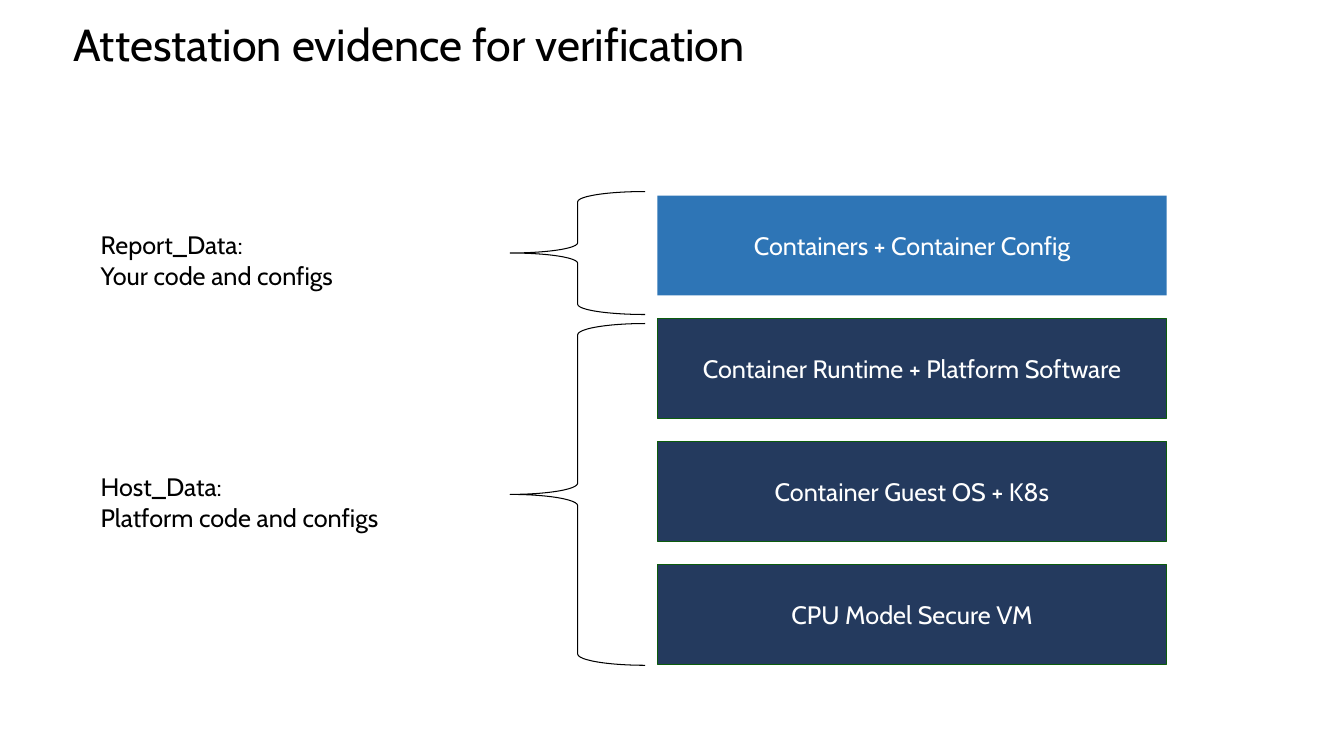
import pptx
import pptx.util
import pptx.dml.color
import pptx.enum.shapes
import pptx.enum.text

RGBColor = pptx.dml.color.RGBColor
BLACK = RGBColor(0x00, 0x00, 0x00)
WHITE = RGBColor(0xFF, 0xFF, 0xFF)
NAVY = RGBColor(0x24, 0x3A, 0x5E)
BLUE = RGBColor(0x2E, 0x75, 0xB6)
GREEN = RGBColor(0x0C, 0x5C, 0x0C)

KIND = pptx.enum.shapes.MSO_SHAPE
ALIGN = pptx.enum.text.PP_ALIGN
ANCHOR = pptx.enum.text.MSO_ANCHOR
FIT = pptx.enum.text.MSO_AUTO_SIZE
FONT = "Cabin"
SCALE = 9144

LAYERS = [
    ("Containers + Container Config", BLUE, None),
    ("Container Runtime + Platform Software", NAVY, GREEN),
    ("Container Guest OS + K8s", NAVY, GREEN),
    ("CPU Model Secure VM", NAVY, GREEN),
]
LAYER_TOP = 194
LAYER_STEP = 122


def px(count):
    return pptx.util.Emu(count * SCALE)


def write(frame, lines, size, color, align, anchor):
    frame.word_wrap = True
    frame.auto_size = FIT.NONE
    frame.vertical_anchor = anchor
    para = frame.paragraphs[0]
    para.alignment = align
    for index, line in enumerate(lines):
        if index:
            para.add_line_break()
        run = para.add_run()
        run.text = line
        run.font.name = FONT
        run.font.size = pptx.util.Pt(size)
        run.font.color.rgb = color


def add_title(slide, text):
    title = slide.shapes.title
    title.left, title.top = px(63), px(12)
    title.width, title.height = px(1258), px(64)
    write(title.text_frame, [text], 32, BLACK, ALIGN.LEFT, ANCHOR.TOP)


def add_layer(slide, top, text, fill, edge):
    box = slide.shapes.add_shape(KIND.RECTANGLE, px(652), px(top), px(505), px(99))
    box.shadow.inherit = False
    box.fill.solid()
    box.fill.fore_color.rgb = fill
    if edge is None:
        box.line.fill.background()
    else:
        box.line.color.rgb = edge
        box.line.width = pptx.util.Pt(0.85)
    write(box.text_frame, [text], 18, WHITE, ALIGN.CENTER, ANCHOR.MIDDLE)


def add_brace(slide, top, height):
    brace = slide.shapes.add_shape(KIND.LEFT_BRACE, px(506), px(top), px(134), px(height))
    brace.shadow.inherit = False
    brace.fill.background()
    brace.line.color.rgb = BLACK
    brace.line.width = pptx.util.Pt(0.75)


def add_label(slide, top, lines):
    box = slide.shapes.add_textbox(px(90), px(top), px(462), px(71))
    write(box.text_frame, lines, 18, BLACK, ALIGN.LEFT, ANCHOR.TOP)


def main():
    deck = pptx.Presentation()
    deck.slide_width, deck.slide_height = px(1333), px(750)
    slide = deck.slides.add_slide(deck.slide_layouts.get_by_name("Title Only"))
    add_title(slide, "Attestation evidence for verification")
    for index, (text, fill, edge) in enumerate(LAYERS):
        add_layer(slide, LAYER_TOP + index * LAYER_STEP, text, fill, edge)
    add_brace(slide, 190, 122)
    add_brace(slide, 321, 339)
    add_label(slide, 223, ["Report_Data:", "Your code and configs"])
    add_label(slide, 463, ["Host_Data:", "Platform code and configs"])
    deck.save("out.pptx")


if __name__ == "__main__":
    main()
